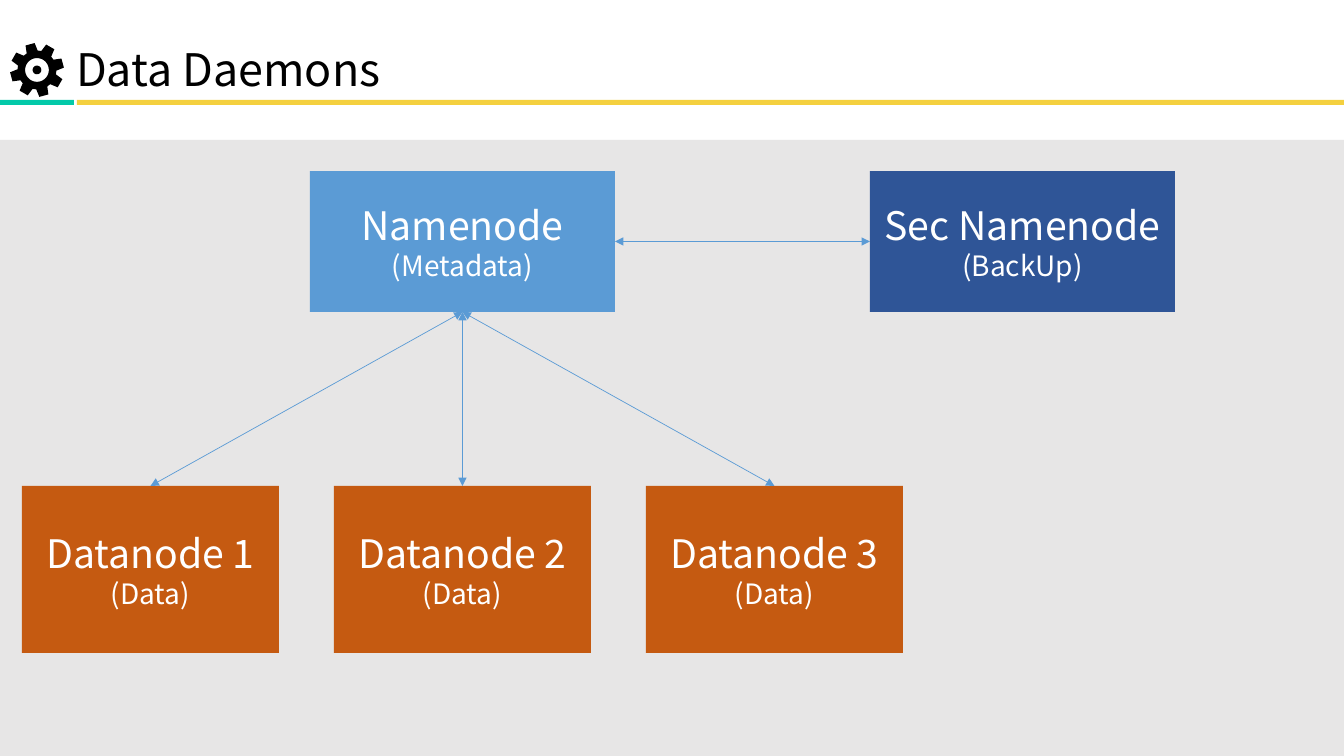
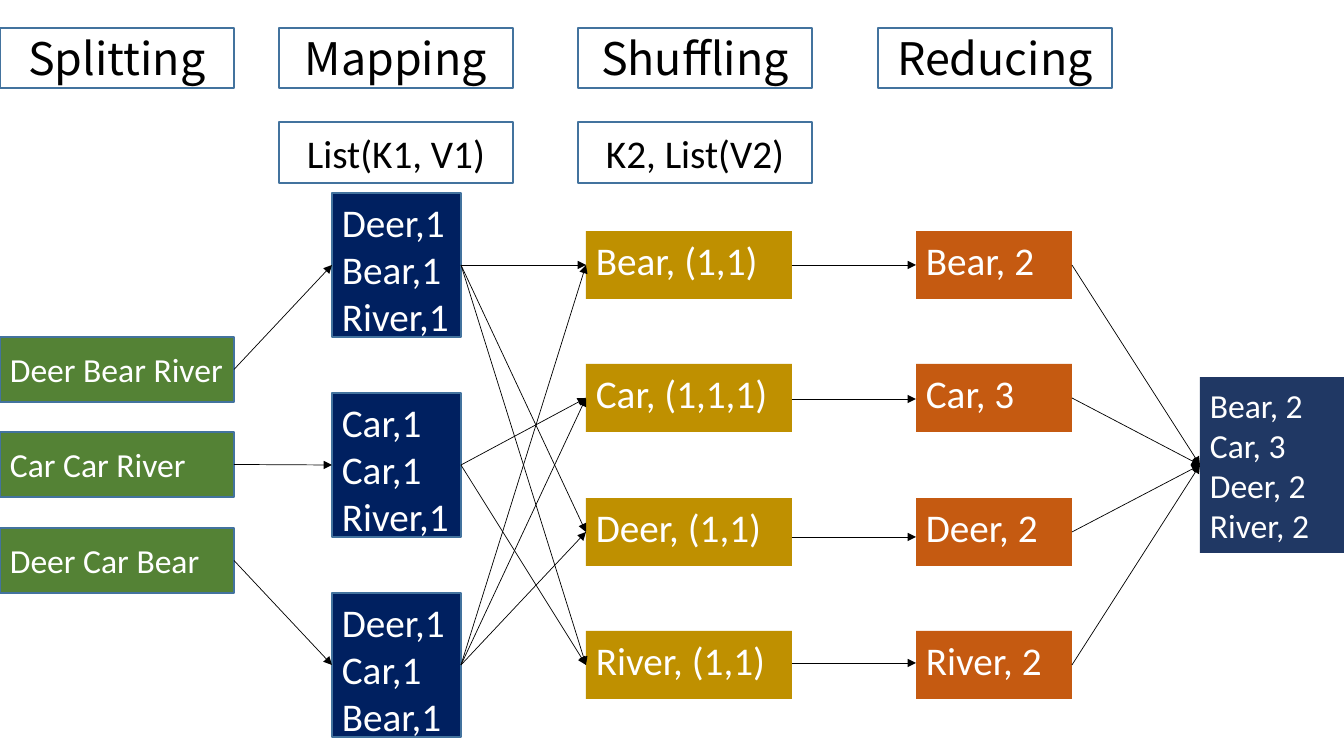
import math
from dataclasses import dataclass

from lxml import etree
from pptx import Presentation, util as u
from pptx.dml.color import RGBColor
from pptx.enum import shapes, text
from pptx.oxml.ns import qn

PX = u.Inches(1) / 100.8
TOP, LEFT, BOTTOM, RIGHT = range(4)  # connection sites of a rectangle


@dataclass(frozen=True)
class Theme:
    head_font: str = "Noto Sans CJK TC"
    body_font: str = "Calibri"
    title: int = 32
    large: int = 28
    medium: int = 24
    small: int = 20
    black: str = "000000"
    white: str = "FFFFFF"
    yellow: str = "F4D03F"
    teal: str = "03C9A9"
    panel: str = "E7E6E6"
    sky: str = "5B9BD5"
    blue: str = "2F5597"
    orange: str = "C55A11"
    green: str = "548235"
    navy: str = "002060"
    gold: str = "BF9000"
    slate: str = "203864"
    border: str = "43739E"


T = Theme()
ALIGN, ANCHOR = text.PP_ALIGN, text.MSO_ANCHOR


def px(n):
    return u.Emu(round(n * PX))


def spread(first, last, count):
    """Evenly spaced whole-pixel positions."""
    return [round(first + (last - first) * i / (count - 1)) for i in range(count)]


def write(tf, lines, font, color, align, anchor):
    """Fill a text frame from (wording, size) lines."""
    tf.word_wrap = True
    tf.vertical_anchor = anchor
    for i, (wording, size) in enumerate(lines):
        p = tf.paragraphs[0] if i == 0 else tf.add_paragraph()
        p.alignment = align
        r = p.add_run()
        r.text = wording
        r.font.name, r.font.size = font, u.Pt(size)
        r.font.color.rgb = RGBColor.from_string(color)


def paint(sp, fill=None, border=None):
    sp.shadow.inherit = False
    if fill:
        sp.fill.solid()
        sp.fill.fore_color.rgb = RGBColor.from_string(fill)
    else:
        sp.fill.background()
    if border:
        sp.line.color.rgb = RGBColor.from_string(border)
        sp.line.width = u.Pt(1)
    else:
        sp.line.fill.background()


def box(s, at, fill=None, border=None, lines=(), font=T.body_font,
        color=T.white, align=ALIGN.LEFT, anchor=ANCHOR.MIDDLE):
    sp = s.shapes.add_shape(shapes.MSO_SHAPE.RECTANGLE, *map(px, at))
    paint(sp, fill, border)
    if lines:
        write(sp.text_frame, lines, font, color, align, anchor)
    return sp


def arrow(s, start, end, color=T.black, ends=("tailEnd",)):
    """Thin straight line with a triangle at each named end."""
    line = s.shapes.add_connector(shapes.MSO_CONNECTOR.STRAIGHT, *map(px, start + end))
    line.line.color.rgb = RGBColor.from_string(color)
    line.line.width = u.Pt(0.5)
    ln = line.line._get_or_add_ln()
    for end_name in ends:
        etree.SubElement(ln, qn("a:" + end_name)).set("type", "triangle")
    etree.SubElement(line._element.spPr, qn("a:effectLst"))
    return line


def link(s, a, a_site, b, b_site, **style):
    """Arrow attached to two boxes."""
    line = arrow(s, (0, 0), (0, 0), **style)
    line.begin_connect(a, a_site)
    line.end_connect(b, b_site)


def gear(s, cx, cy, radius):
    """Eight-toothed wheel with a ring-shaped hub."""
    def polar(r, degrees):
        a = math.radians(degrees)
        return round((cx + r * math.cos(a)) * PX), round((cy + r * math.sin(a)) * PX)

    def circle(r):
        return [polar(r, d) for d in range(0, 360, 10)]

    root = radius * 0.72
    teeth = [polar(r, 45 * i - 15 + d) for i in range(8)
             for r, d in ((root, -17), (radius, -10), (radius, 10), (root, 17))]
    outlines = [teeth, circle(radius * 0.44), circle(radius * 0.16)]
    builder = s.shapes.build_freeform(*teeth[0], scale=1.0)
    for i, points in enumerate(outlines):
        if i:
            builder.move_to(*points[0])
        builder.add_line_segments(points[1:], close=True)
    paint(builder.convert_to_shape(), T.black)


def title_band(s, at, wording):
    """Title with gear icon above a two-colour rule."""
    x, y, w, h = at
    rule_y = y + h - 5
    box(s, (x + 77, rule_y, w - 77, 5), T.yellow)
    box(s, (x, rule_y, 74, 5), T.teal)
    sp = s.shapes.title
    sp.left, sp.top, sp.width, sp.height = map(px, (x + 66, y + 26, 714, 70))
    tf = sp.text_frame
    tf.auto_size = text.MSO_AUTO_SIZE.NONE
    tf.margin_bottom = 0
    write(tf, [(wording, T.title)], T.head_font, T.black, ALIGN.LEFT, ANCHOR.BOTTOM)
    gear(s, x + 37, y + 70, 27)


def daemon_diagram(s, at):
    """Name nodes above the row of data nodes."""
    x, y, w, h = at
    box(s, at, T.panel)

    def node(place, fill, name, role):
        return box(s, place, fill, lines=[(name, T.large), (role, T.small)],
                   font=T.head_font, align=ALIGN.CENTER)

    namenode = node((x + 310, y + 31, 305, 141), T.sky, "Namenode", "(Metadata)")
    backup = node((x + 870, y + 31, 305, 141), T.blue, "Sec Namenode", "(BackUp)")
    both = dict(color=T.sky, ends=("headEnd", "tailEnd"))
    for i, left in enumerate(spread(22, 646, 3), 1):
        data = node((x + left, y + 346, 257, 167), T.orange, f"Datanode {i}", "(Data)")
        link(s, data, TOP, namenode, BOTTOM, **both)
    link(s, backup, LEFT, namenode, RIGHT, **both)


def stage_headers(s, at):
    """Stage names, with key and value forms below two of them."""
    x, y, w, h = at
    lefts = [0] + spread(279, 878, 3)
    names = ("Splitting", "Mapping", "Shuffling", "Reducing")
    forms = ("", "List(K1, V1)", "K2, List(V2)", "")
    style = dict(border=T.border, color=T.black, align=ALIGN.CENTER)
    for left, name, form in zip(lefts, names, forms):
        box(s, (x + left, y, 234, 60), lines=[(name, T.title)], font=T.head_font, **style)
        if form:
            box(s, (x + left, y + 94, 234, 61), lines=[(form, T.large)], **style)


def stack(s, x, tops, size, groups, fill, pt, **style):
    """Column of boxes, one for each group of lines."""
    return [box(s, (x, top) + size, fill, lines=[(line, pt) for line in group], **style)
            for top, group in zip(tops, groups)]


def word_count_flow(s, at):
    """Word count from split lines to the merged result."""
    x, y, w, h = at
    top = dict(anchor=ANCHOR.TOP)
    edge = dict(border=T.border)
    totals = ("Bear, 2", "Car, 3", "Deer, 2", "River, 2")
    pair_tops = spread(y + 38, y + 438, 4)

    # Columns
    splits = stack(s, x, spread(y + 144, y + 335, 3), (234, 65),
                   [["Deer Bear River"], ["Car Car River"], ["Deer Car Bear"]],
                   T.green, T.medium, **edge)
    maps = stack(s, x + 332, spread(y, y + 400, 3), (129, 144),
                 [["Deer,1", "Bear,1", "River,1"], ["Car,1", "Car,1", "River,1"],
                  ["Deer,1", "Car,1", "Bear,1"]], T.navy, T.large, **edge, **top)
    shuffles = stack(s, x + 586, pair_tops, (206, 68),
                     [["Bear, (1,1)"], ["Car, (1,1,1)"], ["Deer, (1,1)"], ["River, (1,1)"]],
                     T.gold, T.large, **top)
    reduces = stack(s, x + 916, pair_tops, (156, 68), [[t] for t in totals],
                    T.orange, T.large, **top)
    result, = stack(s, x + 1200, [y + 184], (144, 176), [totals], T.slate, T.medium)

    # Arrows
    for split, mapped in zip(splits, maps):
        link(s, split, RIGHT, mapped, LEFT)
    for mapped, targets in zip(maps, ((0, 2, 3), (1, 3), (2, 1, 0))):
        for target in targets:
            link(s, mapped, RIGHT, shuffles[target], LEFT)
    for level in (72, 206, 344, 470):
        arrow(s, (x + 792, y + level), (x + 916, y + level))
    for reduced in reduces:
        link(s, reduced, RIGHT, result, LEFT)


def daemons_slide(prs):
    s = prs.slides.add_slide(prs.slide_layouts[5])
    title_band(s, (0, 0, 1344, 105), "Data Daemons")
    daemon_diagram(s, (0, 140, 1344, 616))


def word_count_slide(prs):
    s = prs.slides.add_slide(prs.slide_layouts[6])
    stage_headers(s, (0, 28, 1112, 155))
    word_count_flow(s, (0, 193, 1344, 544))


prs = Presentation()
prs.slide_width, prs.slide_height = px(1344), px(756)
daemons_slide(prs)
word_count_slide(prs)
prs.save("out.pptx")
